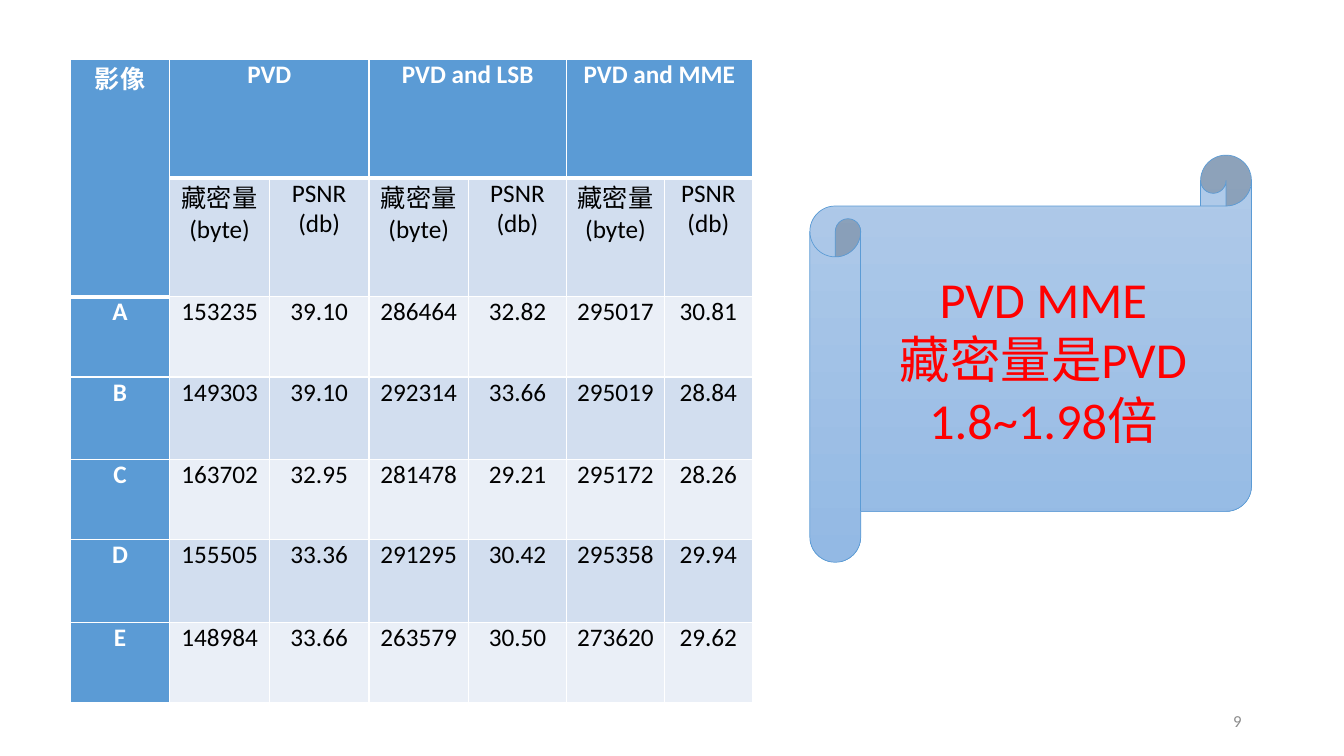
from lxml import etree
from pptx import Presentation
from pptx.dml.color import RGBColor
from pptx.enum.shapes import MSO_SHAPE
from pptx.enum.text import MSO_ANCHOR, PP_ALIGN
from pptx.oxml.ns import qn
from pptx.util import Cm, Pt

WHITE = RGBColor(0xFF, 0xFF, 0xFF)
BLACK = RGBColor(0x00, 0x00, 0x00)
RED = RGBColor(0xFF, 0x00, 0x00)
GREY = RGBColor(0x8C, 0x8C, 0x8C)
BLUE = RGBColor(0x5B, 0x9B, 0xD5)
BAND_DARK = RGBColor(0xD2, 0xDE, 0xEF)
BAND_LIGHT = RGBColor(0xEA, 0xEF, 0xF7)
SCROLL_TOP = RGBColor(0xB1, 0xCB, 0xE9)
SCROLL_BOTTOM = RGBColor(0x93, 0xB9, 0xE4)
FONT = "Calibri"

IMAGE_HEADING = "影像"
METHODS = ["PVD", "PVD and LSB", "PVD and MME"]
MEASURES = ["藏密量(byte)", "PSNR\n(db)"]
RESULTS = [
    ("A", "153235", "39.10", "286464", "32.82", "295017", "30.81"),
    ("B", "149303", "39.10", "292314", "33.66", "295019", "28.84"),
    ("C", "163702", "32.95", "281478", "29.21", "295172", "28.26"),
    ("D", "155505", "33.36", "291295", "30.42", "295358", "29.94"),
    ("E", "148984", "33.66", "263579", "30.50", "273620", "29.62"),
]
CONCLUSION = "PVD MME\n藏密量是PVD\n1.8~1.98倍"
PAGE_NUMBER = "9"

COLUMN_WIDTHS = [2.51, 2.51, 2.51, 2.51, 2.47, 2.47, 2.21]
ROW_HEIGHTS = [2.99, 2.99, 2.02, 2.08, 2.02, 2.08, 2.02]


def write(frame, text, size, color, align=PP_ALIGN.CENTER, bold=None):
    frame.text = text
    for paragraph in frame.paragraphs:
        paragraph.alignment = align
        for run in paragraph.runs:
            run.font.size = Pt(size)
            run.font.name = FONT
            run.font.color.rgb = color
            run.font.bold = bold


def add_heading_borders(cell):
    """Thin white edges with a heavy one below."""
    properties = cell._tc.get_or_add_tcPr()
    edges = [("a:lnL", 1), ("a:lnR", 1), ("a:lnT", 1), ("a:lnB", 3)]
    for position, (tag, points) in enumerate(edges):
        edge = etree.Element(qn(tag), w=str(Pt(points)))
        fill = etree.SubElement(edge, qn("a:solidFill"))
        etree.SubElement(fill, qn("a:srgbClr"), val=str(WHITE))
        properties.insert(position, edge)


def add_results_table(slide):
    method_row = [IMAGE_HEADING]
    for method in METHODS:
        method_row += [method, ""]
    measure_row = [""] + MEASURES * len(METHODS)
    rows = [method_row, measure_row, *RESULTS]

    table = slide.shapes.add_table(
        len(rows), len(COLUMN_WIDTHS), Cm(1.77), Cm(1.5),
        Cm(sum(COLUMN_WIDTHS)), Cm(sum(ROW_HEIGHTS))).table
    table.first_col = True
    for column, width in zip(table.columns, COLUMN_WIDTHS):
        column.width = Cm(width)
    for row, height in zip(table.rows, ROW_HEIGHTS):
        row.height = Cm(height)

    table.cell(0, 0).merge(table.cell(1, 0))
    for left in range(1, len(COLUMN_WIDTHS), 2):
        table.cell(0, left).merge(table.cell(0, left + 1))

    for r, values in enumerate(rows):
        for c, value in enumerate(values):
            cell = table.cell(r, c)
            heading = r == 0 or c == 0
            band = BAND_DARK if r % 2 else BAND_LIGHT
            cell.fill.solid()
            cell.fill.fore_color.rgb = BLUE if heading else band
            cell.margin_left = cell.margin_right = Cm(0.19)
            cell.margin_top = cell.margin_bottom = 0
            if r == 0:
                add_heading_borders(cell)
            if not cell.is_spanned:
                write(cell.text_frame, value, 18,
                      WHITE if heading else BLACK, bold=heading)


def add_conclusion(slide):
    scroll = slide.shapes.add_shape(
        MSO_SHAPE.HORIZONTAL_SCROLL, Cm(20.41), Cm(3.91), Cm(11.13), Cm(10.26))
    scroll.shadow.inherit = False
    scroll.fill.gradient()
    scroll.fill.gradient_angle = 270
    for stop, color in zip(scroll.fill.gradient_stops, (SCROLL_TOP, SCROLL_BOTTOM)):
        stop.color.rgb = color
    scroll.line.color.rgb = BLUE
    scroll.line.width = Pt(0.5)
    write(scroll.text_frame, CONCLUSION, 36, RED)


def add_page_number(slide):
    frame = slide.shapes.add_textbox(
        Cm(23.92), Cm(17.66), Cm(7.62), Cm(1.01)).text_frame
    frame.word_wrap = True
    frame.vertical_anchor = MSO_ANCHOR.MIDDLE
    write(frame, PAGE_NUMBER, 12, GREY, PP_ALIGN.RIGHT)


def main():
    presentation = Presentation()
    presentation.slide_width = Cm(33.87)
    presentation.slide_height = Cm(19.05)
    slide = presentation.slides.add_slide(presentation.slide_layouts[6])
    add_results_table(slide)
    add_page_number(slide)
    add_conclusion(slide)
    presentation.save("out.pptx")


if __name__ == "__main__":
    main()
